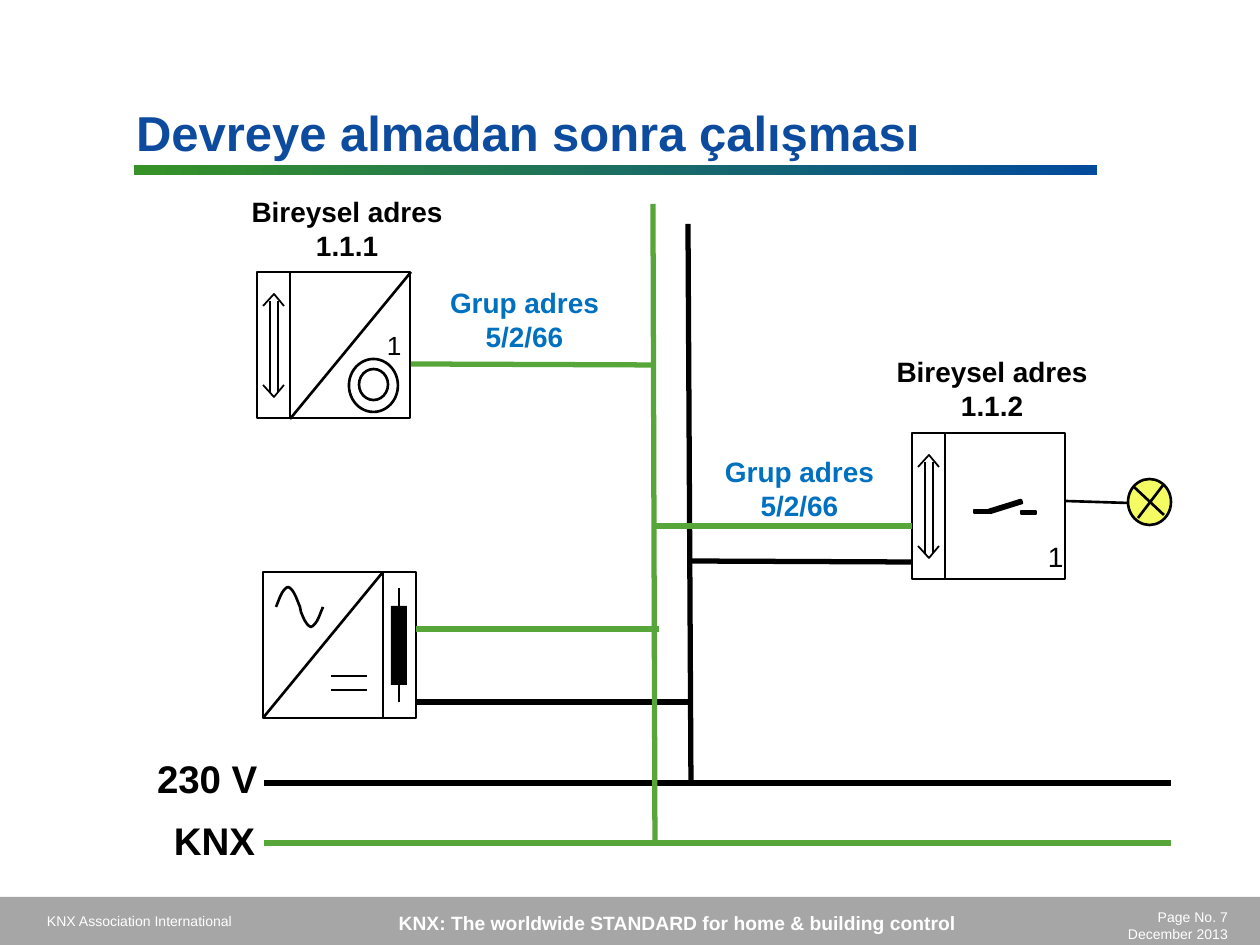
from dataclasses import dataclass
from math import pi, sin

from lxml.etree import SubElement
from pptx import Presentation
from pptx.dml.color import RGBColor
from pptx.enum.shapes import MSO_CONNECTOR as Link, MSO_SHAPE as Shape
from pptx.enum.text import MSO_ANCHOR as Anchor, PP_ALIGN as Align
from pptx.oxml.ns import qn
from pptx.util import Emu, Pt

EMU_PER_PX = 914400 / 126


@dataclass(frozen=True)
class Theme:
    font: str = "Arial"
    title: RGBColor = RGBColor(0x0C, 0x4B, 0x9D)
    black: RGBColor = RGBColor(0, 0, 0)
    white: RGBColor = RGBColor(255, 255, 255)
    grey: RGBColor = RGBColor(0xA6, 0xA6, 0xA6)
    lamp: RGBColor = RGBColor(0xF4, 0xFB, 0x63)
    bus: RGBColor = RGBColor(0x57, 0xA6, 0x39)
    group: RGBColor = RGBColor(0x00, 0x70, 0xC0)
    rule_start: RGBColor = RGBColor(0x36, 0x92, 0x26)
    rule_end: RGBColor = RGBColor(0x01, 0x4B, 0x9D)
    title_size: int = 28
    mains_size: int = 22
    label_size: int = 16
    channel_size: int = 15
    slogan_size: int = 11
    footer_size: int = 8
    wire: float = 3
    outline: float = 1.5
    arrow: float = 1


theme = Theme()


def px(*lengths):
    return [Emu(round(length * EMU_PER_PX)) for length in lengths]


def write(box, text, size, color=theme.black, bold=False, align=Align.LEFT,
          margins=(0, 0), wrap=False):
    """Fill a box; \\n starts a paragraph and \\v breaks a line."""
    frame = box.text_frame
    frame.word_wrap = wrap
    frame.vertical_anchor = Anchor.TOP
    frame.margin_left = frame.margin_right = px(margins[0])[0]
    frame.margin_top = frame.margin_bottom = px(margins[1])[0]
    frame.text = text
    for para in frame.paragraphs:
        para.alignment = align
        para.line_spacing = 1.0
        para.space_before = Pt(0)
        para.font.size = Pt(size)
        para.font.name = theme.font
        para.font.bold = bold
        para.font.color.rgb = color


deck = Presentation()
deck.slide_width, deck.slide_height = px(1260, 945)
page = deck.slides.add_slide(deck.slide_layouts[5])
shapes = page.shapes

title = shapes.title
title.left, title.top, title.width, title.height = px(123, 96, 993, 69)
write(title, "Devreye almadan sonra çalışması", theme.title_size, theme.title,
      bold=True, margins=(13, 6), wrap=True)

# Device origins and the parts they share
strip_width, panel_width, device_height = 33, 120, 146
sensor_x, sensor_y = 257, 272
relay_x, relay_y = 912, 433
supply_x, supply_y = 263, 572
couplers = [(sensor_x, sensor_y), (relay_x, relay_y)]

# Boxes and circles: kind, left, top, width, height, fill, has outline
blocks = [
    (Shape.RECTANGLE, 0, 897, 1260, 48, theme.grey, False),
    (Shape.RECTANGLE, 391, 606, 16, 79, theme.black, False),
    (Shape.RECTANGLE, 974, 510, 15, 3, theme.black, True),
    (Shape.RECTANGLE, 1021, 511, 15, 3, theme.black, True),
    (Shape.OVAL, 349, 359, 49, 53, None, True),
    (Shape.OVAL, 359, 369, 29, 31, None, True),
    (Shape.OVAL, 1128, 479, 43, 46, theme.lamp, True),
]
for strip_x, panel_x, top in (
    (sensor_x, sensor_x + strip_width, sensor_y),
    (relay_x, relay_x + strip_width, relay_y),
    (supply_x + panel_width, supply_x, supply_y),
):
    for left, width in ((strip_x, strip_width), (panel_x, panel_width)):
        blocks.append((Shape.RECTANGLE, left, top, width, device_height, None, True))

for kind, left, top, width, height, fill, outlined in blocks:
    block = shapes.add_shape(kind, *px(left, top, width, height))
    block.shadow.inherit = False
    if fill is None:
        block.fill.background()
    else:
        block.fill.solid()
        block.fill.fore_color.rgb = fill
    if outlined:
        block.line.color.rgb = theme.black
        block.line.width = Pt(theme.outline)
    else:
        block.line.fill.background()

title_rule = shapes.add_shape(Shape.RECTANGLE, *px(134, 165, 963, 10))
title_rule.shadow.inherit = False
title_rule.line.fill.background()
title_rule.fill.gradient()
title_rule.fill.gradient_angle = 0
for stop, color in zip(title_rule.fill.gradient_stops, (theme.rule_start, theme.rule_end)):
    stop.color.rgb = color

# Straight lines as (x1, y1, x2, y2)
mains_wires = [(690, 561, 912, 562), (691, 783, 688, 224),
               (416, 702, 690, 702), (264, 783, 1171, 783)]
bus_wires = [(411, 364, 655, 365), (655, 843, 653, 204), (416, 629, 659, 629),
             (264, 843, 1171, 843), (655, 526, 912, 526)]
symbol_lines = [
    (411, 272, 290, 419), (383, 572, 263, 718),
    (399, 588, 399, 702), (331, 676, 367, 676), (331, 690, 367, 690),
    (1138, 518, 1164, 484), (1164, 515, 1133, 486), (1065, 501, 1128, 503),
]
for left, top in couplers:
    symbol_lines += [(left + shaft, top + 29, left + shaft, top + 120) for shaft in (13, 21)]

for lines, color, weight in (
    (mains_wires, theme.black, theme.wire),
    (symbol_lines, theme.black, theme.outline),
    (bus_wires, theme.bus, theme.wire),
):
    for ends in lines:
        line = shapes.add_connector(Link.STRAIGHT, *px(*ends))
        line.line.color.rgb = color
        line.line.width = Pt(weight)
        SubElement(line._element.spPr, qn("a:effectLst"))

# Drawn outlines: points, closed, weight
sine_wave = [(276 + 47 * step / 24, 607 - 20 * sin(2 * pi * step / 24)) for step in range(25)]
switch_blade = [(990, 513), (1022, 503), (1021, 500), (989, 510)]
outlines = [(sine_wave, False, theme.outline), (switch_blade, True, theme.outline)]
for left, top in couplers:
    for wing, tip in ((34, 22), (113, 125)):
        arrowhead = [(left + 6, top + wing), (left + 17, top + tip), (left + 27, top + wing)]
        outlines.append((arrowhead, False, theme.arrow))

for points, closed, weight in outlines:
    builder = shapes.build_freeform(*points[0], scale=EMU_PER_PX)
    builder.add_line_segments(points[1:], close=closed)
    outline = builder.convert_to_shape()
    outline.shadow.inherit = False
    outline.line.color.rgb = theme.black
    outline.line.width = Pt(weight)
    if closed:
        outline.fill.solid()
        outline.fill.fore_color.rgb = theme.black
    else:
        outline.fill.background()

# Text boxes: text, frame, format
mains = dict(size=theme.mains_size, bold=True)
address = dict(size=theme.label_size, bold=True, align=Align.CENTER)
group_address = dict(address, color=theme.group)
footer = dict(size=theme.footer_size, color=theme.white, margins=(13, 6), wrap=True)
slogan = dict(footer, size=theme.slogan_size, bold=True, align=Align.CENTER)
labels = [
    ("230 V", (157, 755, 107, 47), mains),
    ("KNX", (174, 817, 90, 47), mains),
    ("Bireysel adres\v1.1.1", (243, 195, 208, 67), address),
    ("Bireysel adres\v1.1.2", (888, 355, 208, 67), address),
    ("Grup adres\v5/2/66", (440, 286, 169, 67), group_address),
    ("Grup adres\v5/2/66", (715, 455, 169, 67), group_address),
    ("1", (387, 329, 20, 32), dict(size=theme.channel_size)),
    ("1", (1048, 539, 20, 34), dict(size=theme.label_size)),
    ("KNX Association International", (34, 907, 287, 30), footer),
    ("KNX: The worldwide STANDARD for home & building control",
     (221, 905, 913, 37), slogan),
    ("Page No. 7\nDecember 2013", (1096, 903, 145, 42), dict(footer, align=Align.RIGHT)),
]
for text, frame, text_format in labels:
    write(shapes.add_textbox(*px(*frame)), text, **text_format)

deck.save("out.pptx")
